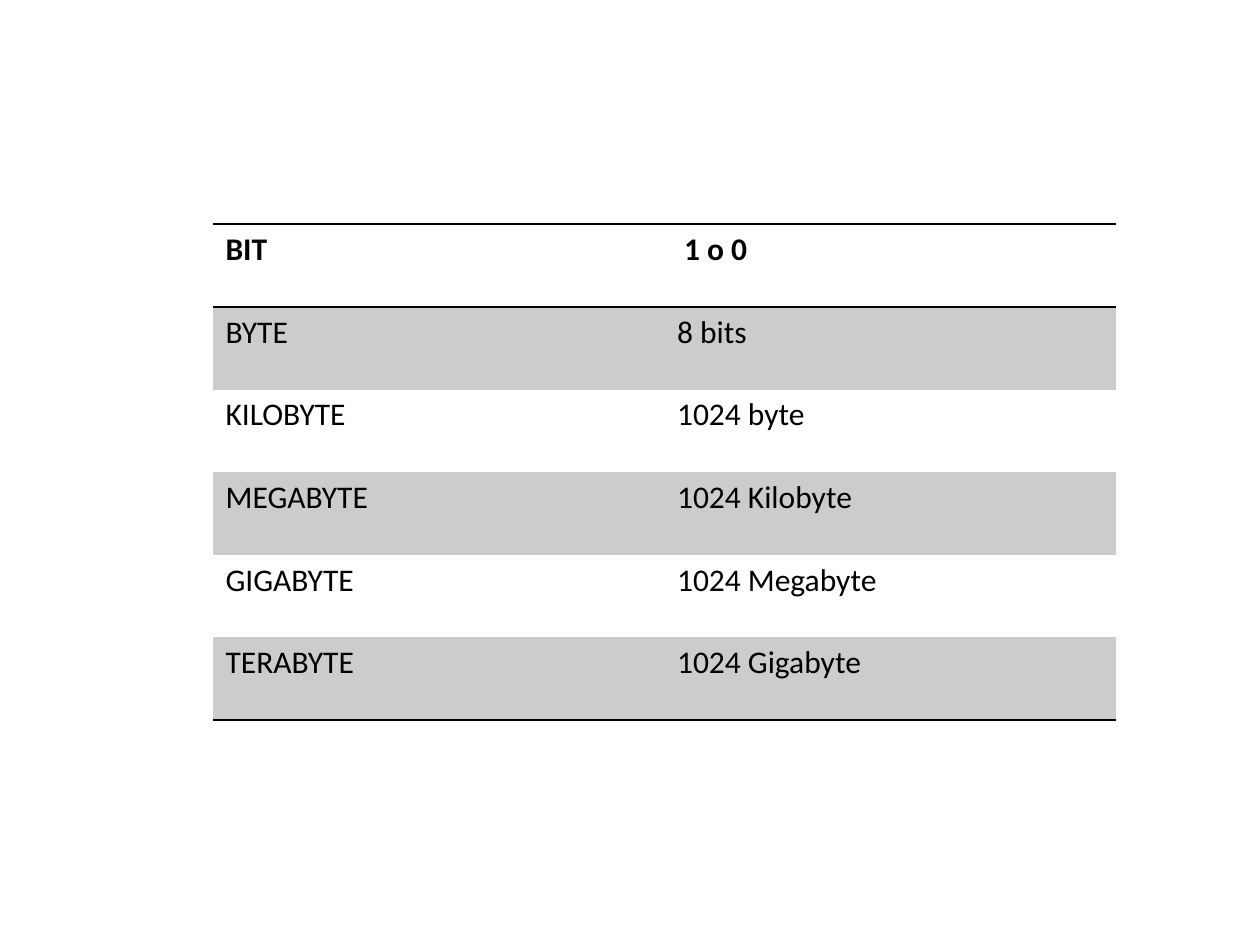
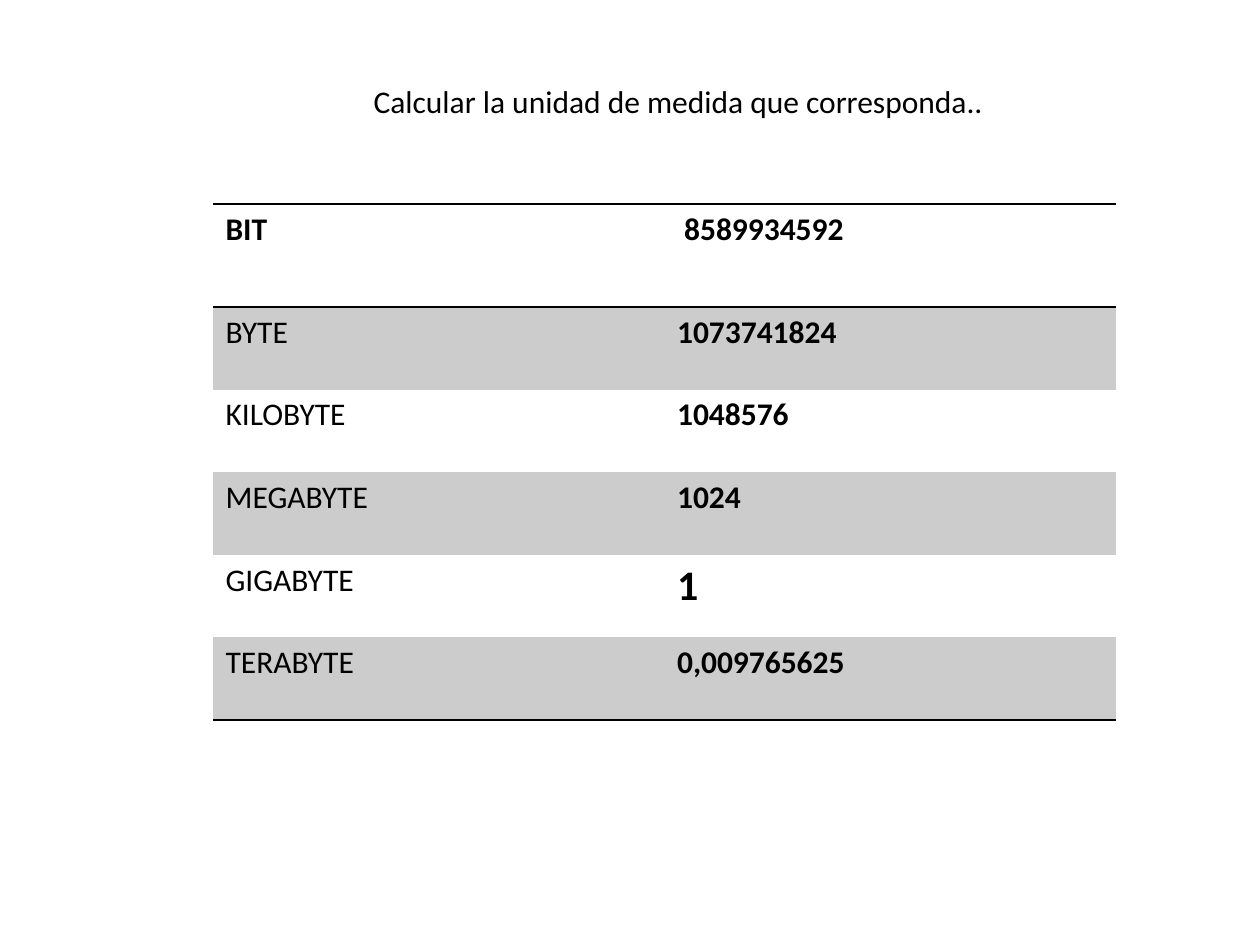
import pptx
import pptx.util
import pptx.dml.color
import pptx.enum.text
import pptx.oxml
import pptx.oxml.ns

# Content: heading, top of the table, whether values are bold, rows
UNITS = ["BIT", "BYTE", "KILOBYTE", "MEGABYTE", "GIGABYTE", "TERABYTE"]
SLIDES = [
    {
        "heading": None,
        "top": 224,
        "bold_values": False,
        "values": [" 1 o 0", "8 bits", "1024 byte", "1024 Kilobyte",
                   "1024 Megabyte", "1024 Gigabyte"],
        "large": None,
    },
    {
        "heading": "Calcular la unidad de medida que corresponda..",
        "top": 204,
        "bold_values": True,
        "values": [" 8589934592", "1073741824", "1048576", "1024", "1",
                   "0,009765625"],
        "large": "GIGABYTE",
    },
]

# Shared style and measures, in px
EMU_PER_PX = 914400 / 126
SLIDE_SIZE = (1260, 945)
HEADING_BOX = (361, 76, 643, 50)
TABLE_LEFT, TABLE_WIDTH = 213, 903
HEADER_BOTTOM, TABLE_BOTTOM = 307, 720
INK = pptx.dml.color.RGBColor(0, 0, 0)
BAND = pptx.dml.color.RGBColor(0xCC, 0xCC, 0xCC)
FONT = "Calibri"
TITLE_ONLY, BLANK = 5, 6


def px(length):
    return pptx.util.Emu(round(length * EMU_PER_PX))


def write(frame, text, size=18, bold=False):
    """Put one left-aligned, top-anchored line of text in a frame."""
    paragraph = frame.paragraphs[0]
    paragraph.alignment = pptx.enum.text.PP_ALIGN.LEFT
    run = paragraph.add_run()
    run.text = text
    run.font.name = FONT
    run.font.size = pptx.util.Pt(size)
    run.font.bold = bold
    run.font.color.rgb = INK


def rule_cell(cell, ruled_sides):
    """Draw 1 pt rules on the given sides and clear the others."""
    properties = cell._tc.get_or_add_tcPr()
    for side in "LRTB":
        if side in ruled_sides:
            width, paint = 12700, f'<a:solidFill><a:srgbClr val="{INK}"/></a:solidFill>'
        else:
            width, paint = 0, "<a:noFill/>"
        properties.append(pptx.oxml.parse_xml(
            f'<a:ln{side} {pptx.oxml.ns.nsdecls("a")} w="{width}">{paint}</a:ln{side}>'))


def add_heading(slide, text):
    heading = slide.shapes.title
    heading.left, heading.top, heading.width, heading.height = map(px, HEADING_BOX)
    frame = heading.text_frame
    frame.word_wrap = False
    frame.auto_size = pptx.enum.text.MSO_AUTO_SIZE.NONE
    frame.vertical_anchor = pptx.enum.text.MSO_ANCHOR.TOP
    write(frame, text)


def add_units_table(slide, content):
    top, last = content["top"], len(UNITS) - 1
    units_table = slide.shapes.add_table(
        len(UNITS), 2, px(TABLE_LEFT), px(top),
        px(TABLE_WIDTH), px(TABLE_BOTTOM - top)).table
    for column in units_table.columns:
        column.width = px(TABLE_WIDTH / 2)

    for index, (unit, value) in enumerate(zip(UNITS, content["values"])):
        is_header = index == 0
        units_table.rows[index].height = px(
            HEADER_BOTTOM - top if is_header
            else (TABLE_BOTTOM - HEADER_BOTTOM) / last)
        ruled_sides = {0: "TB", 1: "T", last: "B"}.get(index, "")
        unit_cell, value_cell = units_table.rows[index].cells
        for cell in (unit_cell, value_cell):
            rule_cell(cell, ruled_sides)
            if index % 2:
                cell.fill.solid()
                cell.fill.fore_color.rgb = BAND
            else:
                cell.fill.background()
        write(unit_cell.text_frame, unit, bold=is_header)
        write(value_cell.text_frame, value,
              size=24 if unit == content["large"] else 18,
              bold=is_header or content["bold_values"])


def main():
    deck = pptx.Presentation()
    deck.slide_width, deck.slide_height = map(px, SLIDE_SIZE)
    for content in SLIDES:
        layout = TITLE_ONLY if content["heading"] else BLANK
        slide = deck.slides.add_slide(deck.slide_layouts[layout])
        add_units_table(slide, content)
        if content["heading"]:
            add_heading(slide, content["heading"])
    deck.save("out.pptx")


if __name__ == "__main__":
    main()
